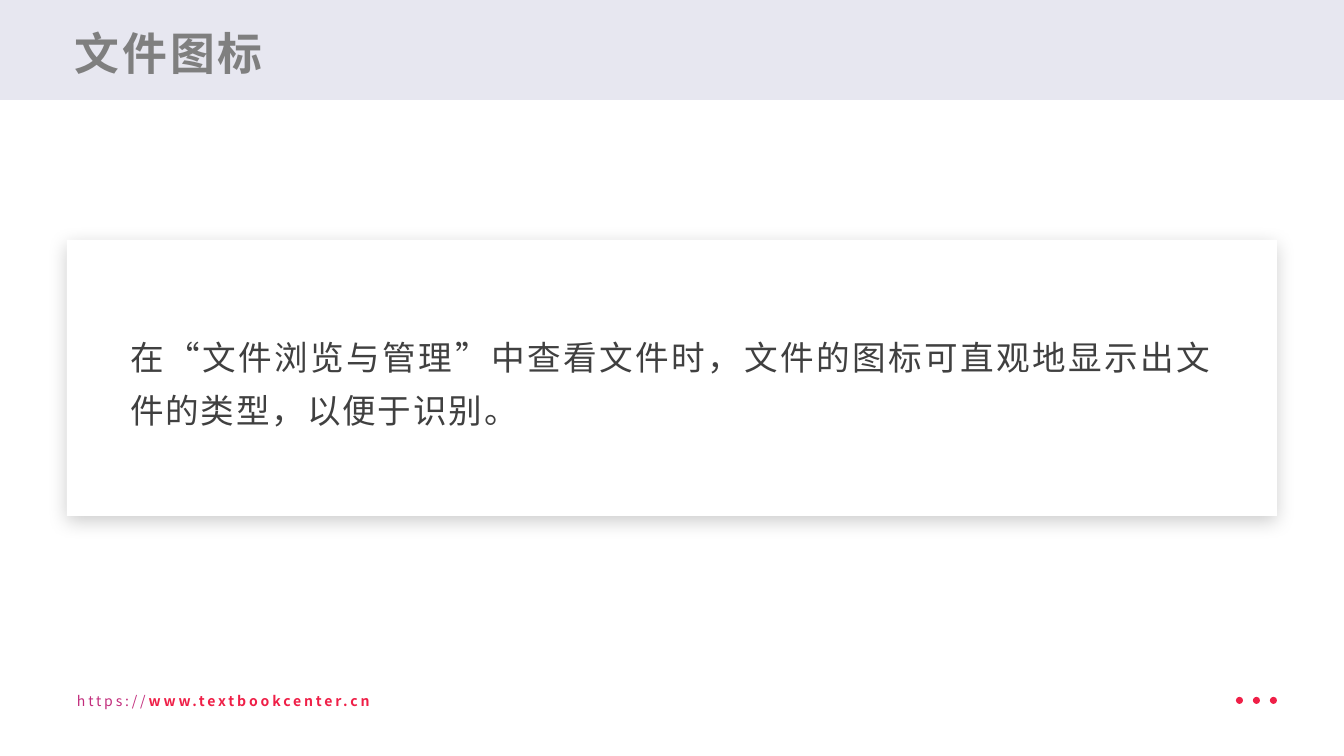
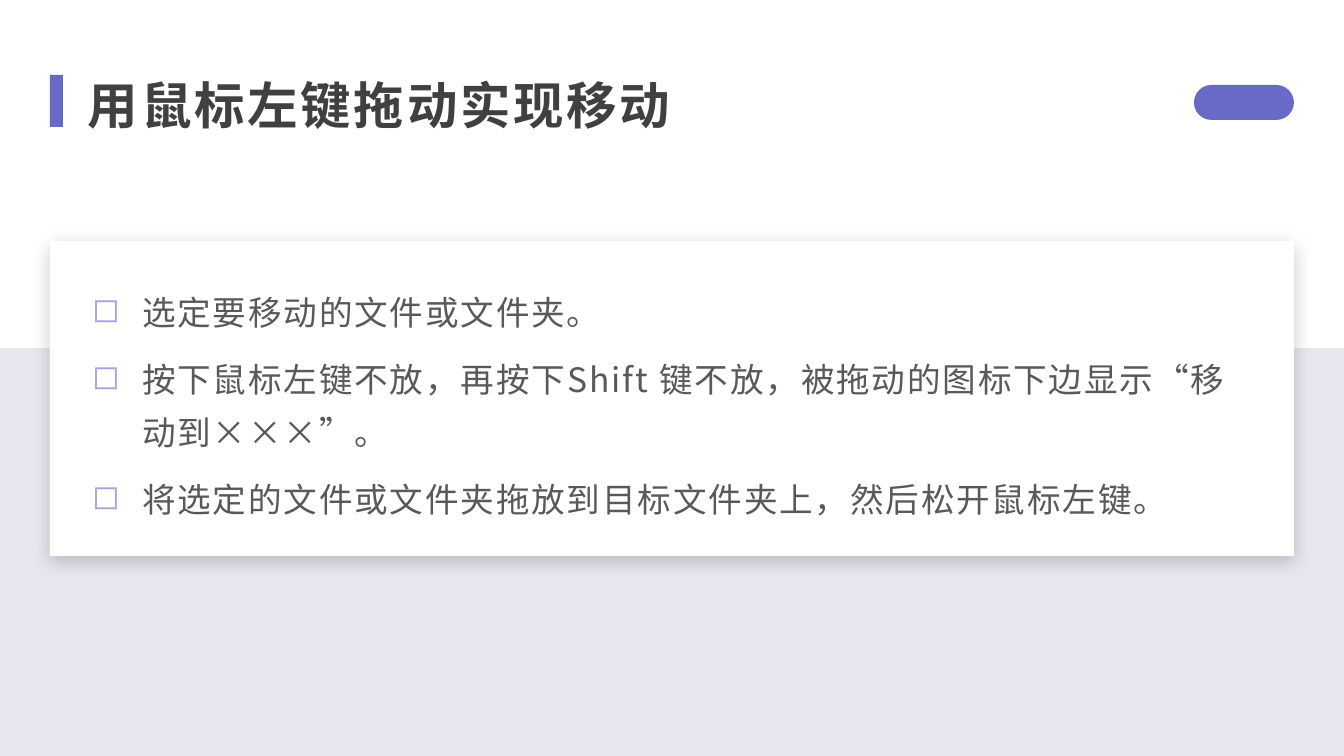
from dataclasses import dataclass

import pptx
import pptx.dml.color
import pptx.enum.shapes
import pptx.enum.text
import pptx.oxml
import pptx.oxml.ns
import pptx.util
from lxml import etree

SHAPE = pptx.enum.shapes.MSO_SHAPE
ALIGN = pptx.enum.text.PP_ALIGN
ANCHOR = pptx.enum.text.MSO_ANCHOR
qn = pptx.oxml.ns.qn

SLIDE_WIDTH, SLIDE_HEIGHT = 1344, 756
EMU_PER_PX = pptx.util.Inches(10) / SLIDE_WIDTH


def px(length):
    return pptx.util.Emu(round(length * EMU_PER_PX))


@dataclass(frozen=True)
class Theme:
    font: str = "Noto Sans CJK SC"
    white: str = "FFFFFF"
    band: str = "E7E7F0"
    accent: str = "6969C7"
    bullet: str = "A5A5DD"
    red: str = "EF1F47"
    magenta: str = "C22D7C"
    shadow: str = "000000"
    dark: str = "404040"
    body: str = "595959"
    muted: str = "7F7F7F"
    band_title_size: float = 24
    title_size: float = 27
    body_size: float = 18
    footer_size: float = 7.5
    wide_spacing: float = 1.5
    body_spacing: float = 1


@dataclass(frozen=True)
class Style:
    size: float
    color: str
    spacing: float
    bold: bool = False


class Deck:
    def __init__(self, theme):
        self.theme = theme
        self.presentation = pptx.Presentation()
        self.presentation.slide_width = px(SLIDE_WIDTH)
        self.presentation.slide_height = px(SLIDE_HEIGHT)
        self.slide = None

    def new_slide(self):
        blank = self.presentation.slide_layouts[6]
        self.slide = self.presentation.slides.add_slide(blank)

    def block(self, left, top, width, height, color, kind=SHAPE.RECTANGLE):
        shape = self.slide.shapes.add_shape(
            kind, px(left), px(top), px(width), px(height))
        shape.shadow.inherit = False
        shape.fill.solid()
        shape.fill.fore_color.rgb = pptx.dml.color.RGBColor.from_string(color)
        shape.line.fill.background()
        return shape

    def card(self, left, top, width, height):
        """White panel with a soft shadow below it."""
        panel = self.block(left, top, width, height, self.theme.white)
        effects = panel.element.spPr.find(qn("a:effectLst"))
        shadow = etree.SubElement(
            effects, qn("a:outerShdw"), blurRad=str(pptx.util.Pt(10)),
            dist=str(pptx.util.Pt(3)), dir=str(90 * 60000),
            algn="t", rotWithShape="0")
        tone = etree.SubElement(shadow, qn("a:srgbClr"), val=self.theme.shadow)
        etree.SubElement(tone, qn("a:alpha"), val="20000")

    def pill(self, left, top, width, height, color):
        shape = self.block(left, top, width, height, color,
                           SHAPE.ROUNDED_RECTANGLE)
        shape.adjustments[0] = 0.5

    def dots(self, left, top, size, pitch, count, color):
        for index in range(count):
            self.block(left + index * pitch, top, size, size, color, SHAPE.OVAL)

    def text(self, left, top, width, height, paragraphs, anchor=ANCHOR.TOP,
             inset=(8, 4), align=None, prose=False, bullet=None):
        """Each paragraph is a list of (words, Style) runs."""
        box = self.slide.shapes.add_textbox(
            px(left), px(top), px(width), px(height))
        frame = box.text_frame
        frame.word_wrap = True
        frame.vertical_anchor = anchor
        frame.margin_left = frame.margin_right = px(inset[0])
        frame.margin_top = frame.margin_bottom = px(inset[1])
        for index, runs in enumerate(paragraphs):
            paragraph = frame.add_paragraph() if index else frame.paragraphs[0]
            if bullet:
                self.add_bullet(paragraph, bullet)
            if align is not None:
                paragraph.alignment = align
            if prose:
                paragraph.line_spacing = 1.3
                paragraph.space_after = pptx.util.Pt(8)
            for words, style in runs:
                self.add_run(paragraph, words, style)

    def add_bullet(self, paragraph, symbol, hang=50):
        properties = paragraph._p.get_or_add_pPr()
        properties.set("marL", str(px(hang)))
        properties.set("indent", str(px(-hang)))
        color = etree.SubElement(properties, qn("a:buClr"))
        etree.SubElement(color, qn("a:srgbClr"), val=self.theme.bullet)
        etree.SubElement(properties, qn("a:buChar"), char=symbol)

    def add_run(self, paragraph, words, style):
        run = paragraph.add_run()
        run.text = words
        font = run.font
        font.size = pptx.util.Pt(style.size)
        font.bold = style.bold
        font.color.rgb = pptx.dml.color.RGBColor.from_string(style.color)
        font.name = self.theme.font
        properties = run._r.get_or_add_rPr()
        properties.set("spc", str(round(style.spacing * 100)))
        etree.SubElement(properties, qn("a:ea"), typeface=self.theme.font)


def build_file_icons(deck):
    theme = deck.theme
    title = Style(theme.band_title_size, theme.muted, theme.wide_spacing, True)
    body = Style(theme.body_size, theme.dark, theme.body_spacing)
    scheme = Style(theme.footer_size, theme.magenta, theme.wide_spacing)
    host = Style(theme.footer_size, theme.red, theme.wide_spacing, True)

    deck.new_slide()
    deck.block(0, 0, SLIDE_WIDTH, 100, theme.band)
    deck.text(67, 17, 1210, 67, [[("文件图标", title)]], anchor=ANCHOR.BOTTOM)
    deck.card(67, 240, 1210, 276)
    deck.text(67, 688, 320, 26,
              [[("https://", scheme), ("www.textbookcenter.cn", host)]],
              anchor=ANCHOR.MIDDLE, inset=(10, 4))
    deck.dots(1236, 697, 7, 17, 3, theme.red)
    explanation = ("在“文件浏览与管理”中查看文件时，"
                   "文件的图标可直观地显示出文件的类型，以便于识别。")
    deck.text(117, 290, 1109, 175, [[(explanation, body)]],
              anchor=ANCHOR.MIDDLE, inset=(13, 7), align=ALIGN.JUSTIFY,
              prose=True)


def build_drag_to_move(deck):
    theme = deck.theme
    title = Style(theme.title_size, theme.dark, theme.wide_spacing, True)
    body = Style(theme.body_size, theme.body, theme.body_spacing)
    steps = [
        "选定要移动的文件或文件夹。",
        "按下鼠标左键不放，再按下Shift 键不放，被拖动的图标下边显示“移动到×××”。",
        "将选定的文件或文件夹拖放到目标文件夹上，然后松开鼠标左键。",
    ]

    deck.new_slide()
    deck.block(0, 348, SLIDE_WIDTH, SLIDE_HEIGHT - 348, theme.band)
    deck.card(50, 241, 1244, 315)
    deck.text(84, 276, 1176, 247, [[(step, body)] for step in steps],
              prose=True, bullet="◻")
    deck.pill(1194, 85, 100, 35, theme.accent)
    deck.block(50, 75, 13, 52, theme.accent)
    deck.text(75, 67, 1063, 71, [[("用鼠标左键拖动实现移动", title)]],
              inset=(13, 7))


def main():
    deck = Deck(Theme())
    build_file_icons(deck)
    build_drag_to_move(deck)
    deck.presentation.save("out.pptx")


if __name__ == "__main__":
    main()
